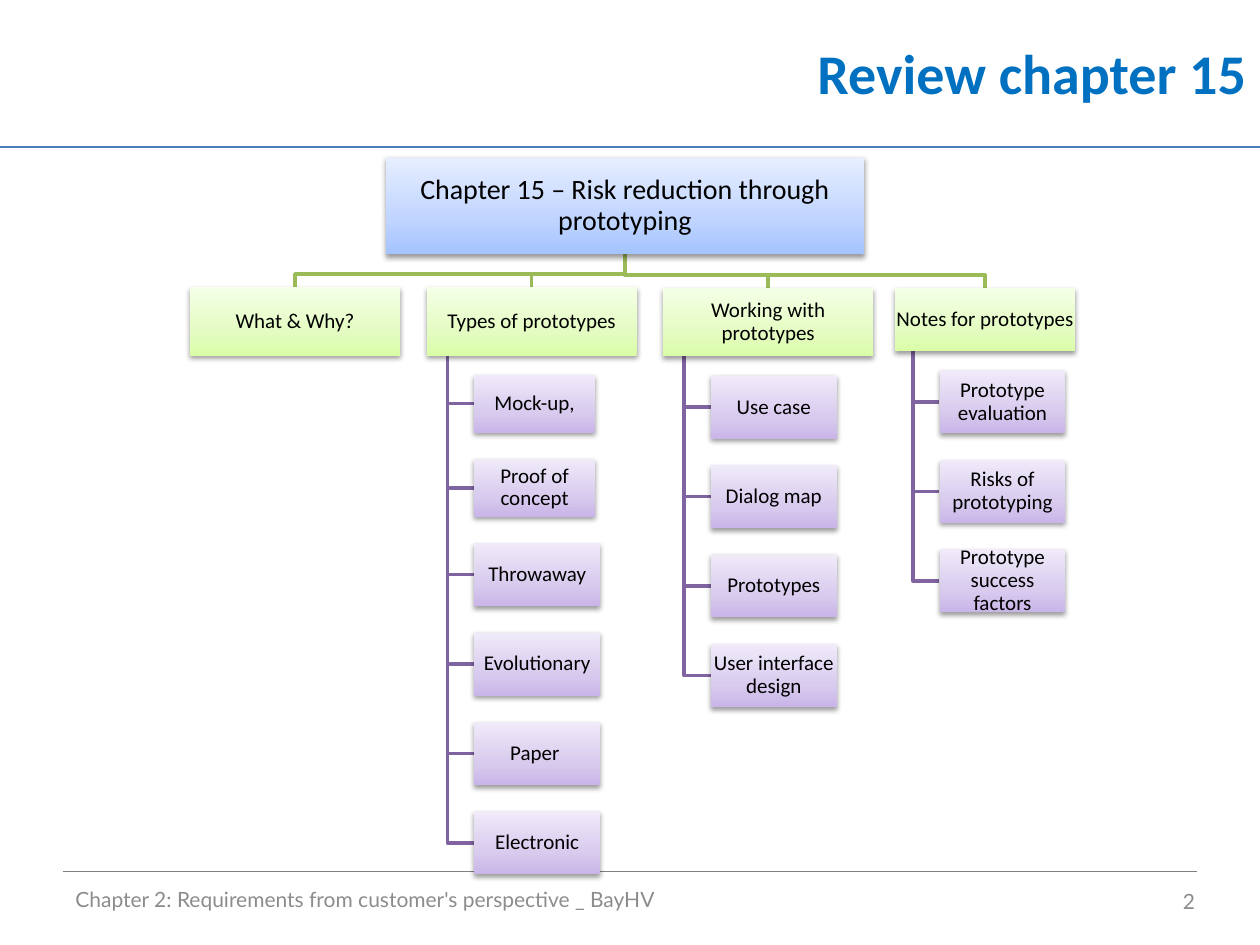
import copy

import pptx
import pptx.dml.color
import pptx.enum.shapes
import pptx.enum.text
import pptx.oxml
import pptx.oxml.ns
import pptx.util

Pt = pptx.util.Pt
Align = pptx.enum.text.PP_ALIGN
Anchor = pptx.enum.text.MSO_ANCHOR

COLOURS = {
    "title": "0070C0", "footer": "8C8C8C", "text": "000000",
    "header rule": "4B7EBC", "footer rule": "808080",
    "topic branch": "9BBB59", "item branch": "8064A2",
}
# Gradient stops from bottom to top
GRADIENTS = {
    "root": ("A4C4FF", "BFD4FF", "E6EEFF"),
    "topic": ("DAFDA7", "E4FCC2", "F5FFE7"),
    "item": ("C9B5E8", "D8CBEE", "F0EAF9"),
}
STOP_POSITIONS = (0, 0.35, 1)
NS = pptx.oxml.ns.nsdecls("a")
SHADOW = (f'<a:outerShdw {NS} blurRad="{Pt(3.1)}" dist="{Pt(1.6)}" dir="5400000" '
          'rotWithShape="0"><a:srgbClr val="000000"><a:alpha val="38000"/>'
          '</a:srgbClr></a:outerShdw>')


def rgb(value):
    return pptx.dml.color.RGBColor.from_string(value)


class ChartSlide:
    """Style and drawing methods for one tree slide; lengths are in points."""

    def __init__(self, slide):
        self.shapes = slide.shapes

    def set_text(self, frame, wording, size, colour, align, font, bold=False):
        frame.text = wording
        frame.word_wrap = True
        frame.vertical_anchor = Anchor.MIDDLE
        paragraph = frame.paragraphs[0]
        paragraph.alignment = align
        for run in paragraph.runs:
            run.font.size = Pt(size)
            run.font.name = font
            run.font.bold = bold
            run.font.color.rgb = rgb(COLOURS[colour])

    def label(self, wording, left, top, width, height, size, colour, align,
              font="Lato", bold=False):
        area = self.shapes.add_textbox(Pt(left), Pt(top), Pt(width), Pt(height))
        self.set_text(area.text_frame, wording, size, colour, align, font, bold)

    def rule(self, left, right, y, colour):
        line = self.shapes.add_connector(pptx.enum.shapes.MSO_CONNECTOR.STRAIGHT,
                                         Pt(left), Pt(y), Pt(right), Pt(y))
        line.line.color.rgb = rgb(COLOURS[colour])
        line.line.width = Pt(0.75)
        line._element.spPr.append(pptx.oxml.parse_xml(f"<a:effectLst {NS}/>"))

    def branch(self, points, colour):
        start, *rest = [(Pt(x), Pt(y)) for x, y in points]
        builder = self.shapes.build_freeform(*start)
        builder.add_line_segments(rest, close=False)
        elbow = builder.convert_to_shape()
        elbow.fill.background()
        elbow.line.color.rgb = rgb(COLOURS[colour])
        elbow.line.width = Pt(2)
        elbow.shadow.inherit = False

    def box(self, wording, left, top, width, height, level, size=12):
        node = self.shapes.add_shape(pptx.enum.shapes.MSO_SHAPE.RECTANGLE,
                                     Pt(left), Pt(top), Pt(width), Pt(height))
        node.line.fill.background()
        node.fill.gradient()
        node.fill.gradient_angle = 90
        stop_list = node._element.spPr.find(".//" + pptx.oxml.ns.qn("a:gsLst"))
        stop_list.append(copy.deepcopy(stop_list[0]))
        for stop, position, colour in zip(node.fill.gradient_stops, STOP_POSITIONS,
                                          GRADIENTS[level]):
            stop.position = position
            stop.color.rgb = rgb(colour)
        node.shadow.inherit = False
        effects = node._element.spPr.find(pptx.oxml.ns.qn("a:effectLst"))
        effects.append(pptx.oxml.parse_xml(SHADOW))
        frame = node.text_frame
        frame.margin_left = frame.margin_right = Pt(0.7)
        frame.margin_top = frame.margin_bottom = Pt(0.7)
        self.set_text(frame, wording, size, "text", Align.CENTER, "Calibri")
        frame.paragraphs[0].line_spacing = 0.9


# Tree content: topic, (left, top, width, height), items with their sizes
SMALL, LARGE = (69, 33), (72, 36)
TOPICS = [
    ("What & Why?", (108.6, 164.2, 120, 39), []),
    ("Types of prototypes", (243.8, 164.2, 120, 39),
     [("Mock-up,", SMALL), ("Proof of concept", SMALL), ("Throwaway", LARGE),
      ("Evolutionary", LARGE), ("Paper ", LARGE), ("Electronic", LARGE)]),
    ("Working with prototypes", (379, 164.7, 120, 39),
     [("Use case", LARGE), ("Dialog map", LARGE), ("Prototypes", LARGE),
      ("User interface design", LARGE)]),
    ("Notes for prototypes", (511.4, 164.7, 103, 36),
     [("Prototype evaluation", LARGE), ("Risks of prototyping", LARGE),
      ("Prototype success factors", LARGE)]),
]
ROOT = (220.4, 90, 273.4, 55.3)
ITEM_INDENT = 15.2
FIRST_GAP, ITEM_GAP = 11, 15.1
TOPIC_DROP = 7.6


def draw_tree(page):
    root_left, root_top, root_width, root_height = ROOT
    root_x, root_bottom = root_left + root_width / 2, root_top + root_height
    boxes = [("Chapter 15 – Risk reduction through prototyping", *ROOT, "root", 16)]

    # Branches lie behind the boxes
    for topic, (left, top, width, height), items in TOPICS:
        middle, bar = left + width / 2, top - TOPIC_DROP
        page.branch([(root_x, root_bottom), (root_x, bar), (middle, bar), (middle, top)],
                    "topic branch")
        boxes.append((topic, left, top, width, height, "topic"))
        trunk, bottom = left + width / 10, top + height
        item_left, item_top = trunk + ITEM_INDENT, bottom + FIRST_GAP
        for item, (item_width, item_height) in items:
            centre = item_top + item_height / 2
            page.branch([(trunk, bottom), (trunk, centre), (item_left, centre)],
                        "item branch")
            boxes.append((item, item_left, item_top, item_width, item_height, "item"))
            item_top += item_height + ITEM_GAP

    for box in boxes:
        page.box(*box)


def main():
    deck = pptx.Presentation()
    deck.slide_width, deck.slide_height = Pt(720), Pt(540)
    page = ChartSlide(deck.slides.add_slide(deck.slide_layouts[6]))

    # Header and footer
    page.rule(0, 720, 84, "header rule")
    page.rule(36, 684, 498, "footer rule")
    page.label("Review chapter 15", 208.8, 0, 510.5, 83, 32, "title", Align.RIGHT,
               font="Calibri", bold=True)
    page.label("Chapter 2: Requirements from customer's perspective _ BayHV",
               36, 499, 480, 29, 12, "footer", Align.LEFT)
    page.label("2", 522, 500.4, 168, 29, 12, "footer", Align.RIGHT)

    draw_tree(page)
    deck.save("out.pptx")


if __name__ == "__main__":
    main()
